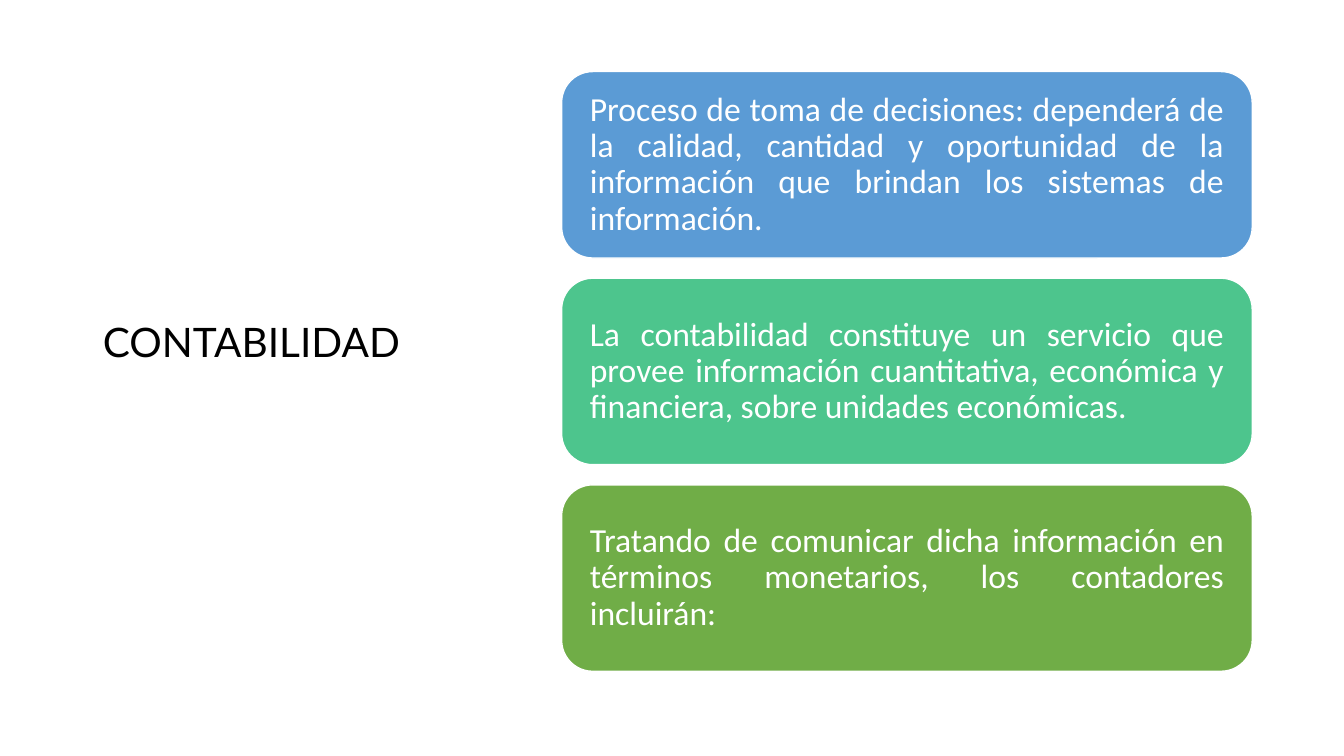
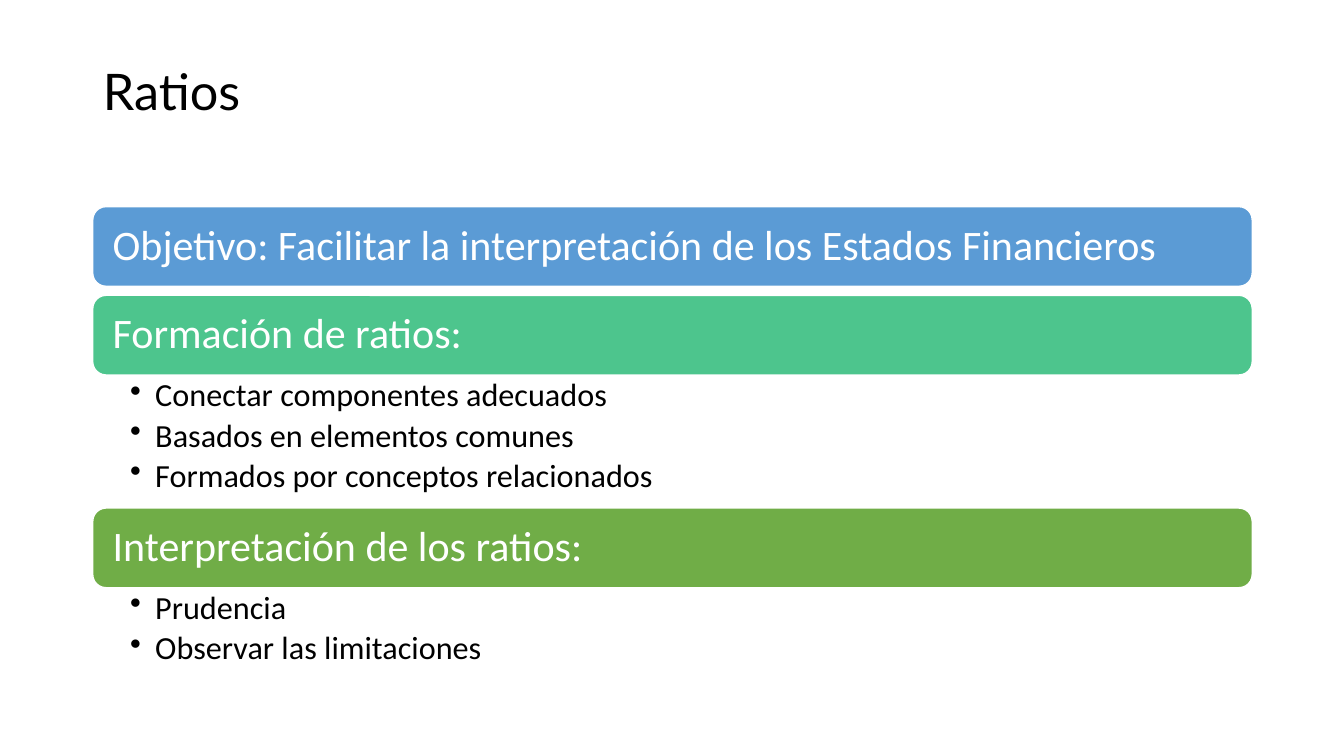
import pptx
import pptx.dml.color
import pptx.enum.shapes
import pptx.enum.text
import pptx.util
from lxml import etree

RGBColor = pptx.dml.color.RGBColor
Align = pptx.enum.text.PP_ALIGN
Anchor = pptx.enum.text.MSO_ANCHOR

PX_PER_INCH = 100
TITLE_FONT, BODY_FONT = "Lato", "Calibri"
WHITE = RGBColor(0xFF, 0xFF, 0xFF)
BLACK = RGBColor(0x00, 0x00, 0x00)
BLUE = RGBColor(0x5B, 0x9B, 0xD5)
MINT = RGBColor(0x4D, 0xC5, 0x8D)
GREEN = RGBColor(0x70, 0xAD, 0x47)
FILLS = (BLUE, MINT, GREEN)

CARDS = (
    "Proceso de toma de decisiones: dependerá de la calidad, cantidad y "
    "oportunidad de la información que brindan los sistemas de información.",
    "La contabilidad constituye un servicio que provee información "
    "cuantitativa, económica y financiera, sobre unidades económicas.",
    "Tratando de comunicar dicha información en términos monetarios, "
    "los contadores incluirán:",
)
SECTIONS = (
    ("Objetivo: Facilitar la interpretación de los Estados Financieros", ()),
    ("Formación de ratios:", (
        "Conectar componentes adecuados",
        "Basados en elementos comunes",
        "Formados por conceptos relacionados",
    )),
    ("Interpretación de los ratios:", ("Prudencia", "Observar las limitaciones")),
)


def px(length):
    """Turn pixels into EMU."""
    return pptx.util.Emu(round(length * 914400 / PX_PER_INCH))


def style_para(para, name, size, color, align=Align.LEFT):
    """Format a paragraph and its runs."""
    para.alignment = align
    para.line_spacing = 0.9
    for span in para.runs:
        span.font.name = name
        span.font.size = pptx.util.Pt(size)
        span.font.color.rgb = color


def set_frame(frame, anchor, left, top, right, bottom):
    """Set wrapping, anchor and insets of a text frame."""
    frame.word_wrap = True
    frame.auto_size = pptx.enum.text.MSO_AUTO_SIZE.NONE
    frame.vertical_anchor = anchor
    frame.margin_left, frame.margin_top = px(left), px(top)
    frame.margin_right, frame.margin_bottom = px(right), px(bottom)


def add_page(deck, text, size, box):
    """Add a title-only slide whose title sits one line above the middle."""
    page = deck.slides.add_slide(deck.slide_layouts[5])
    title = page.shapes.title
    title.left, title.top, title.width, title.height = map(px, box)
    title.text_frame.text = text
    raised = round(1.2 * size * PX_PER_INCH / 72)
    set_frame(title.text_frame, Anchor.MIDDLE, 10, 5, 10, 5 + raised)
    style_para(title.text_frame.paragraphs[0], TITLE_FONT, size, BLACK)
    return page


def add_panel(page, box, text, fill, size, inset, align=Align.LEFT):
    """Add a rounded coloured panel holding white text."""
    panel = page.shapes.add_shape(
        pptx.enum.shapes.MSO_SHAPE.ROUNDED_RECTANGLE, *map(px, box))
    panel.shadow.inherit = False
    panel.fill.solid()
    panel.fill.fore_color.rgb = fill
    panel.line.color.rgb = WHITE
    panel.line.width = pptx.util.Pt(1)
    panel.text_frame.text = text
    set_frame(panel.text_frame, Anchor.MIDDLE, inset, inset, inset, inset)
    style_para(panel.text_frame.paragraphs[0], BODY_FONT, size, WHITE, align)


def add_bullets(page, box, items):
    """Add a bulleted list."""
    frame = page.shapes.add_textbox(*map(px, box)).text_frame
    frame.text = "\n".join(items)
    set_frame(frame, Anchor.TOP, 37, 4, 23, 4)
    for para in frame.paragraphs:
        properties = para._p.get_or_add_pPr()
        properties.set("marL", str(px(25)))
        properties.set("indent", str(px(-25)))
        bullet = etree.SubElement(properties, pptx.oxml.ns.qn("a:buChar"))
        bullet.set("char", "•")
        style_para(para, BODY_FONT, 23, BLACK)
        para.space_after = pptx.util.Pt(4)


def add_cards(page, box, texts):
    """Stack equal cards with equal gaps in a box."""
    left, top, width, height = box
    gap = 20
    card_height = (height - gap * (len(texts) - 1)) // len(texts)
    for index, (text, fill) in enumerate(zip(texts, FILLS)):
        card_top = top + index * (card_height + gap)
        add_panel(page, (left, card_top, width, card_height),
                  text, fill, 24, 19, Align.JUSTIFY)


def add_sections(page, box, sections):
    """Stack heading bars, each followed by its list or a gap."""
    left, top, width = box
    bar_height, item_height, gap = 79, 44, 9
    for (heading, items), fill in zip(sections, FILLS):
        add_panel(page, (left, top, width, bar_height), heading, fill, 30, 16)
        top += bar_height
        if items:
            list_height = item_height * len(items)
            add_bullets(page, (left, top, width, list_height), items)
            top += list_height
        else:
            top += gap


def main():
    """Build and save the deck."""
    deck = pptx.Presentation()
    deck.slide_width, deck.slide_height = px(1333), px(750)
    page = add_page(deck, "CONTABILIDAD", 29, (92, 61, 369, 609))
    add_cards(page, (557, 71, 685, 595), CARDS)
    page = add_page(deck, "Ratios", 36, (92, 61, 1150, 124))
    add_sections(page, (92, 205, 1150), SECTIONS)
    deck.save("out.pptx")


if __name__ == "__main__":
    main()
